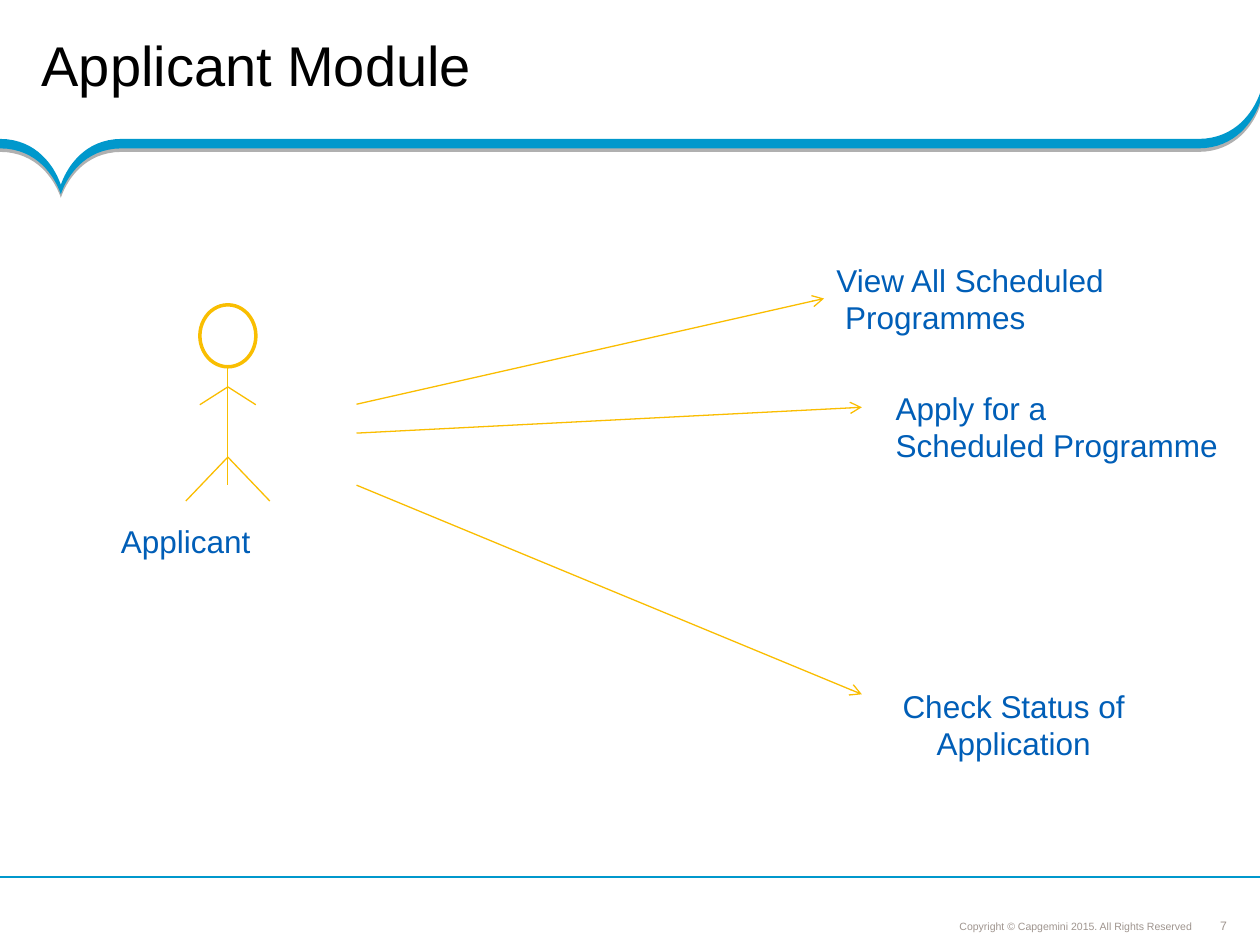
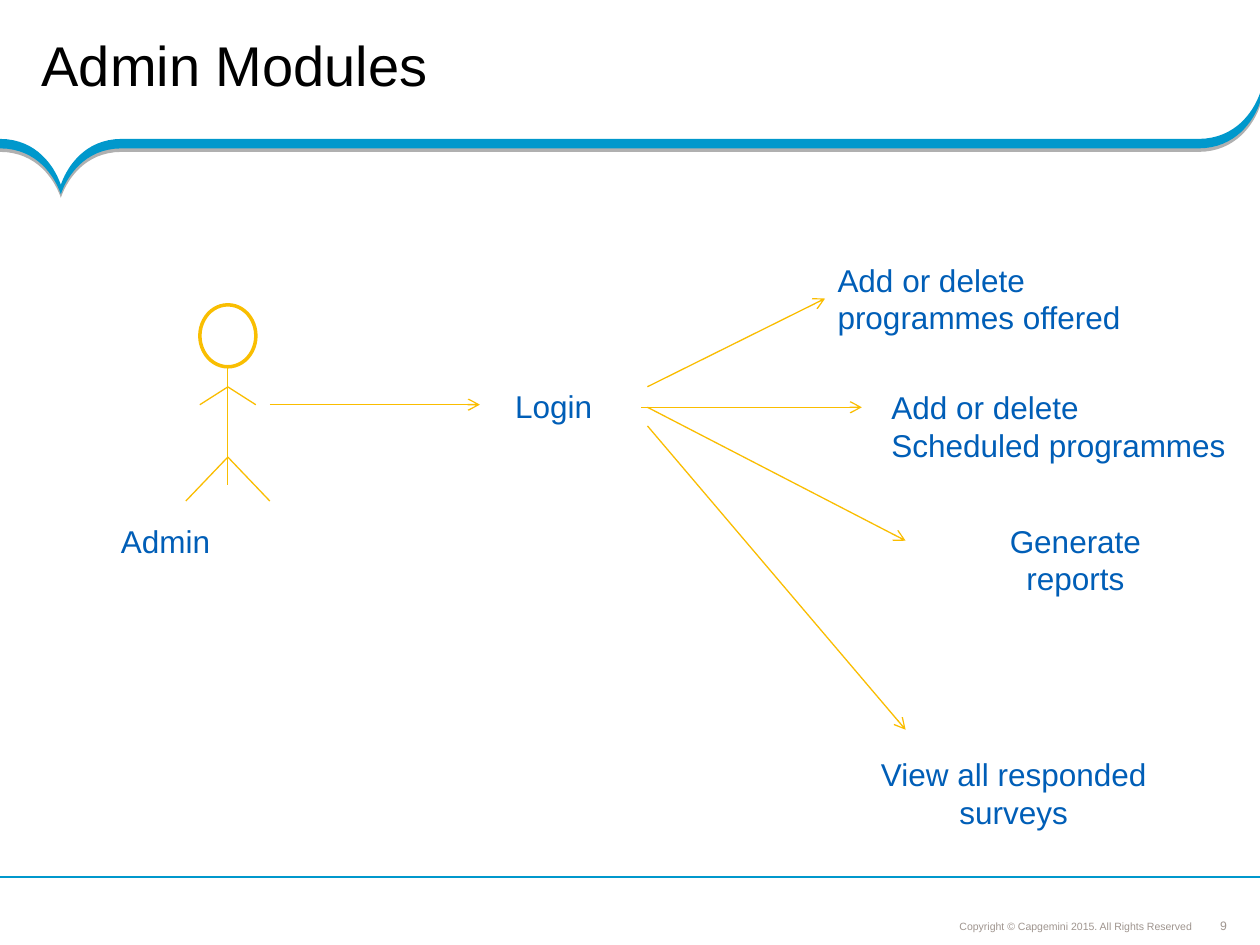
"""Build the applicant and admin use case slides."""
from dataclasses import dataclass
from typing import Optional

from lxml.etree import SubElement
from pptx import Presentation
from pptx.dml.color import RGBColor
from pptx.enum.shapes import MSO_CONNECTOR as Connector, MSO_SHAPE as Preset
from pptx.enum.text import MSO_ANCHOR as Anchor, MSO_AUTO_SIZE as AutoSize, PP_ALIGN as Align
from pptx.oxml.ns import qn
from pptx.util import Pt

Point = tuple[float, float]
Box = tuple[float, float, float, float]


@dataclass(frozen=True)
class Theme:
    font: str = "Arial"
    white: str = "FFFFFF"
    black: str = "000000"
    band: str = "0098CC"
    figure: str = "F9BE01"
    line: str = "FABD00"
    label: str = "005EB7"
    footer: str = "9F958F"
    title_size: float = 32
    label_size: float = 18
    number_size: float = 7
    copyright_size: float = 6
    thin: float = 0.75
    thick: float = 2


THEME = Theme()
SLIDE_WIDTH, SLIDE_HEIGHT = 720, 540
LEFT_SIDE = 1


@dataclass(frozen=True)
class TextStyle:
    size: float
    color: str
    align: Align = Align.LEFT
    anchor: Anchor = Anchor.TOP
    margins: Box = (7.2, 3.6, 7.2, 3.6)
    spacing: float = 1
    wrap: bool = False


TITLE = TextStyle(THEME.title_size, THEME.black, anchor=Anchor.MIDDLE,
                  margins=(23.75, 2.9, 13, 2.9), spacing=0.85, wrap=True)
LABEL = TextStyle(THEME.label_size, THEME.label)
CARD = TextStyle(THEME.label_size, THEME.label, Align.CENTER, Anchor.MIDDLE, wrap=True)
NUMBER = TextStyle(THEME.number_size, THEME.footer, Align.CENTER, Anchor.MIDDLE, (0, 0, 0, 0))
COPYRIGHT = TextStyle(THEME.copyright_size, THEME.footer, Align.RIGHT, Anchor.BOTTOM,
                      (2.9, 2.9, 2.9, 2.9), 0.9, True)


@dataclass(frozen=True)
class UseCase:
    lines: tuple[str, ...]
    box: Box
    start: Point
    end: Optional[Point] = None
    card: bool = False


@dataclass(frozen=True)
class Module:
    title: str
    number: int
    actor: str
    actor_width: float
    use_cases: tuple[UseCase, ...]


APPLICANT_X, LOGIN_X = 203.75, 370
MODULES = (
    Module("Applicant Module", 7, "Applicant", 88.5, (
        UseCase(("View All Scheduled", " Programmes"), (470.9, 145.4, 168.5, 50.4),
                (APPLICANT_X, 231)),
        UseCase(("Apply for a", "Scheduled Programme"), (504.7, 218.5, 198, 50.4),
                (APPLICANT_X, 247.5), (492.5, 232.75)),
        UseCase(("Check Status of Application",), (480.25, 378, 198, 72),
                (APPLICANT_X, 277.25), (492.5, 396.75), card=True),
    )),
    Module("Admin Modules", 9, "Admin", 65.5, (
        UseCase(("Login",), (287.3, 217.75, 58.3, 28.8), (154.25, 231.25), (274.25, 231.25)),
        UseCase(("Add or delete", "programmes offered"), (471.5, 145.4, 176.4, 50.4),
                (LOGIN_X, 221)),
        UseCase(("Add or delete", "Scheduled programmes"), (502.2, 218.25, 205.2, 50.4),
                (366.5, 232.75), (492.5, 232.75)),
        UseCase(("Generate reports",), (550.8, 294.5, 127.5, 50.4),
                (LOGIN_X, 232.75), (517.5, 309), card=True),
        UseCase(("View all responded surveys",), (480.25, 417, 198, 72),
                (LOGIN_X, 243.4), (517.5, 417), card=True),
    )),
)


def rgb(color: str) -> RGBColor:
    return RGBColor.from_string(color)


def points(values) -> list[Pt]:
    return [Pt(value) for value in values]


def write(frame, lines: tuple[str, ...], style: TextStyle) -> None:
    frame.auto_size = AutoSize.NONE
    frame.word_wrap = style.wrap
    frame.vertical_anchor = style.anchor
    (frame.margin_left, frame.margin_top,
     frame.margin_right, frame.margin_bottom) = points(style.margins)
    for index, line in enumerate(lines):
        paragraph = frame.add_paragraph() if index else frame.paragraphs[0]
        paragraph.alignment = style.align
        paragraph.line_spacing = style.spacing
        run = paragraph.add_run()
        run.text = line
        run.font.name = THEME.font
        run.font.size = Pt(style.size)
        run.font.color.rgb = rgb(style.color)


def add_label(slide, lines: tuple[str, ...], box: Box, style: TextStyle):
    label = slide.shapes.add_textbox(*points(box))
    write(label.text_frame, lines, style)
    return label


def add_card(slide, lines: tuple[str, ...], box: Box):
    card = slide.shapes.add_shape(Preset.RECTANGLE, *points(box))
    card.shadow.inherit = False
    card.fill.solid()
    card.fill.fore_color.rgb = rgb(THEME.white)
    card.line.color.rgb = rgb(THEME.white)
    card.line.width = Pt(THEME.thick)
    write(card.text_frame, lines, CARD)
    return card


def add_line(slide, start: Point, end: Point, color: str = THEME.line, arrow: bool = False):
    line = slide.shapes.add_connector(Connector.STRAIGHT, *points(start + end))
    line.line.color.rgb = rgb(color)
    line.line.width = Pt(THEME.thin)
    properties = line.element.spPr
    if arrow:
        SubElement(properties.find(qn("a:ln")), qn("a:tailEnd"), type="arrow")
    SubElement(properties, qn("a:effectLst"))
    return line


def curl(flat_x: float, tip: Point, flat_y: float) -> list[Point]:
    """Return points of a curve that leaves a level line and ends at a tip."""
    steps = 20
    control_x = flat_x + 0.78 * (tip[0] - flat_x)
    curve = []
    for step in range(steps + 1):
        t = step / steps
        away, pull, near = (1 - t) ** 3, 3 * t * (1 - t) ** 2, 3 * t * t * (1 - t) + t ** 3
        curve.append((away * flat_x + pull * control_x + near * tip[0],
                      (away + pull) * flat_y + near * tip[1]))
    return curve


def add_band(slide):
    level, thickness, dip = 79.4, 5.4, (34.8, 105.7)
    upper = (curl(0, dip, level) + curl(69.6, dip, level)[::-1]
             + curl(684.75, (SLIDE_WIDTH, 53.3), level))
    lower = [(x, y + thickness) for x, y in reversed(upper)]
    first, *rest = [tuple(points(point)) for point in upper + lower]
    outline = slide.shapes.build_freeform(*first)
    outline.add_line_segments(rest, close=True)
    band = outline.convert_to_shape()
    band.fill.solid()
    band.fill.fore_color.rgb = rgb(THEME.band)
    band.line.fill.background()
    band.shadow.inherit = False
    effects = band.element.spPr.find(qn("a:effectLst"))
    shadow = SubElement(effects, qn("a:outerShdw"), blurRad="0", dist=str(Pt(2)),
                        dir="5400000", algn="t", rotWithShape="0")
    shade = SubElement(shadow, qn("a:srgbClr"), val=THEME.black)
    SubElement(shade, qn("a:alpha"), val="31000")
    return band


def furnish_layout(layout, slide) -> None:
    """Draw the shared band, rule and copyright, and move them to the layout."""
    tree = layout.shapes.element
    for placeholder in list(layout.placeholders)[1:]:
        tree.remove(placeholder.element)
    rule_y = 501.1
    furniture = (
        add_band(slide),
        add_label(slide, ("Copyright © Capgemini 2015. All Rights Reserved",),
                  (490.3, 521.3, 193.7, 14.4), COPYRIGHT),
        add_line(slide, (SLIDE_WIDTH, rule_y), (0, rule_y), THEME.band),
    )
    for part in furniture:
        tree.append(part.element)


def add_actor(slide, name: str, name_width: float) -> None:
    center, neck, head_width, head_height = 130.2, 209.6, 32, 35.4
    head = slide.shapes.add_shape(Preset.OVAL, *points(
        (center - head_width / 2, neck - head_height, head_width, head_height)))
    head.shadow.inherit = False
    head.fill.background()
    head.line.color.rgb = rgb(THEME.figure)
    head.line.width = Pt(THEME.thick)
    add_line(slide, (center, neck), (center, 277.2), THEME.figure)
    for joint_y, limb_y, reach in ((221.1, 231.3, 16), (261.2, 286.3, 24)):
        for side in (-1, 1):
            add_line(slide, (center, joint_y), (center + side * reach, limb_y))
    add_label(slide, (name,), (62, 294.5, name_width, 28.8), LABEL)


def add_use_case(slide, case: UseCase) -> None:
    if case.card:
        target = add_card(slide, case.lines, case.box)
    else:
        target = add_label(slide, case.lines, case.box, LABEL)
    left, top, _, height = case.box
    arrow = add_line(slide, case.start, case.end or (left, top + height / 2), arrow=True)
    if case.end is None:
        arrow.end_connect(target, LEFT_SIDE)


def add_module(slide, module: Module) -> None:
    title = slide.shapes.title
    title.left, title.top, title.width, title.height = points((0, 0, SLIDE_WIDTH, 79.2))
    write(title.text_frame, (module.title,), TITLE)
    add_label(slide, (str(module.number),), (683.3, 524.75, 31.7, 8.6), NUMBER)
    add_actor(slide, module.actor, module.actor_width)
    for case in module.use_cases:
        add_use_case(slide, case)


def main() -> None:
    deck = Presentation()
    deck.slide_width, deck.slide_height = Pt(SLIDE_WIDTH), Pt(SLIDE_HEIGHT)
    layout = deck.slide_layouts.get_by_name("Title Only")
    slides = [deck.slides.add_slide(layout) for _ in MODULES]
    furnish_layout(layout, slides[0])
    for slide, module in zip(slides, MODULES):
        add_module(slide, module)
    deck.save("out.pptx")


if __name__ == "__main__":
    main()
